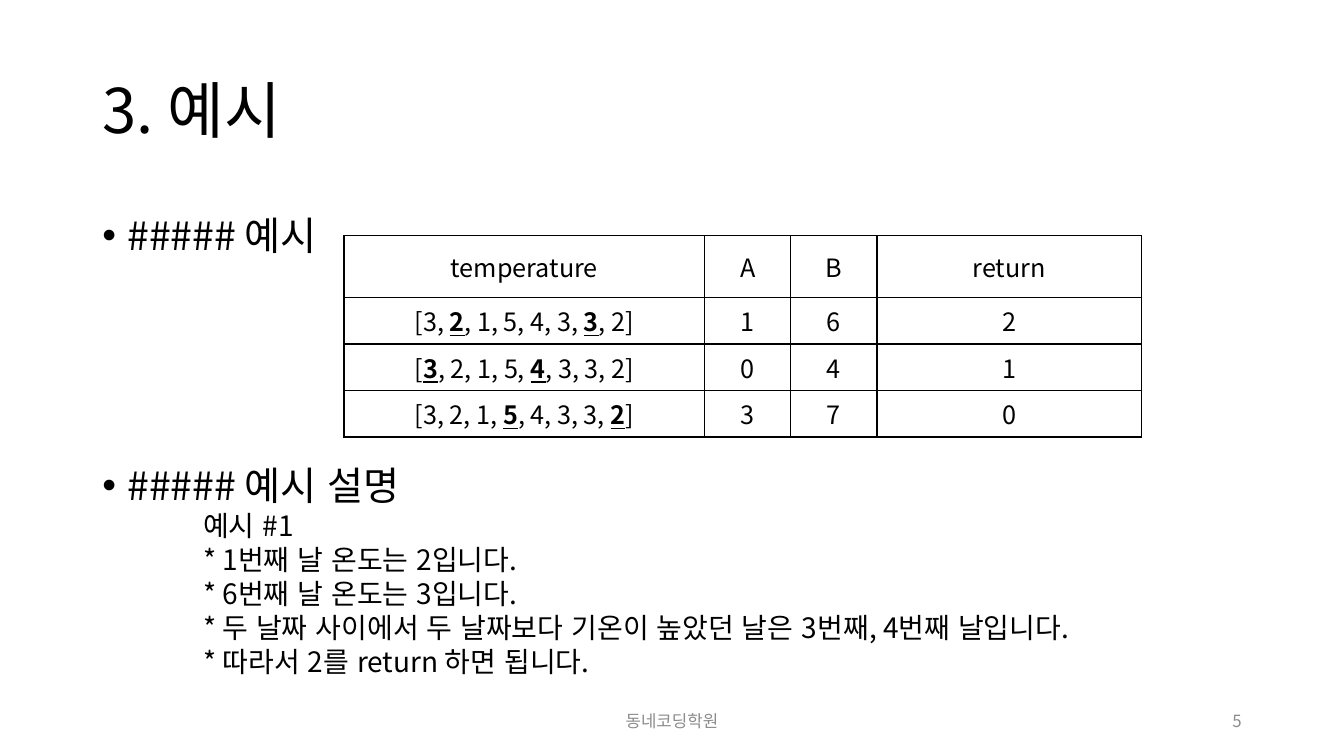
"""Builds the slide with an example table and its explanation."""
from dataclasses import dataclass

from lxml import etree
from pptx import Presentation
from pptx.dml.color import RGBColor
from pptx.enum.lang import MSO_LANGUAGE_ID
from pptx.enum.text import MSO_ANCHOR, MSO_AUTO_SIZE, PP_ALIGN
from pptx.oxml.ns import qn
from pptx.util import Inches, Pt

LEFT, CENTER, RIGHT = PP_ALIGN.LEFT, PP_ALIGN.CENTER, PP_ALIGN.RIGHT
TOP, MIDDLE = MSO_ANCHOR.TOP, MSO_ANCHOR.MIDDLE
NO_AUTOFIT = MSO_AUTO_SIZE.NONE
KOREAN = MSO_LANGUAGE_ID.KOREAN
FONT = "Noto Sans CJK KR"
BLACK, GRAY, WHITE = "000000", "8C8C8C", "FFFFFF"
SLIDE_WIDTH, SLIDE_HEIGHT = Inches(13.33), Inches(7.5)
GRID_COLUMNS, GRID_ROWS = 160, 90


@dataclass(frozen=True)
class Box:
    """A place on the grid, in columns and rows."""
    column: float
    row: float
    columns: float
    rows: float


@dataclass(frozen=True)
class Line:
    """One paragraph; every second run is emphasised."""
    runs: tuple
    size: float
    color: str = BLACK
    align: PP_ALIGN = LEFT
    spacing: float = 1.0
    before: float = 0
    level: int = 0
    margin: float = 0
    hanging: float = 0
    bullet: str = ""


TITLE_BOX = Box(11, 4.8, 138, 17.4)
BODY_BOX = Box(11, 24, 138, 61.2)
TABLE_BOX = Box(40.95, 28.05, 94.95, 24)
FOOTER_BOX = Box(53, 83.4, 54, 4.8)
NUMBER_BOX = Box(113, 83.4, 36, 4.8)
TABLE_COLUMNS = (42.95, 10.25, 10.25, 31.5)
TABLE_ROWS = (7.35, 5.55, 5.55, 5.55)
TABLE_CELLS = (
    (("temperature",), ("A",), ("B",), ("return",)),
    (("[3, ", "2", ", 1, 5, 4, 3, ", "3", ", 2]"), ("1",), ("6",), ("2",)),
    (("[", "3", ", 2, 1, 5, ", "4", ", 3, 3, 2]"), ("0",), ("4",), ("1",)),
    (("[3, 2, 1, ", "5", ", 4, 3, 3, ", "2", "]"), ("3",), ("7",), ("0",)),
)
EXPLANATION = (
    "예시 #1",
    "* 1번째 날 온도는 2입니다.",
    "* 6번째 날 온도는 3입니다.",
    "* 두 날짜 사이에서 두 날짜보다 기온이 높았던 날은 3번째, 4번째 날입니다.",
    "* 따라서 2를 return 하면 됩니다.",
)


def across(columns: float) -> int:
    """Return the length of some grid columns."""
    return round(SLIDE_WIDTH * columns / GRID_COLUMNS)


def down(rows: float) -> int:
    """Return the length of some grid rows."""
    return round(SLIDE_HEIGHT * rows / GRID_ROWS)


def place(box: Box) -> tuple:
    """Return left, top, width and height of a box."""
    return across(box.column), down(box.row), across(box.columns), down(box.rows)


def rgb(color: str) -> RGBColor:
    """Turn a hex string into a colour."""
    return RGBColor.from_string(color)


def write_line(paragraph, line: Line) -> None:
    """Fill a paragraph run by run and format it."""
    properties = paragraph._p.get_or_add_pPr()
    properties.set("marL", str(Inches(line.margin)))
    properties.set("indent", str(-Inches(line.hanging)))
    if line.bullet:
        font = etree.SubElement(properties, qn("a:buFont"))
        font.set("typeface", "Arial")
        etree.SubElement(properties, qn("a:buChar")).set("char", line.bullet)
    else:
        etree.SubElement(properties, qn("a:buNone"))
    paragraph.level = line.level
    paragraph.alignment = line.align
    paragraph.line_spacing = line.spacing
    paragraph.space_before = Pt(line.before)
    for index, text in enumerate(line.runs):
        run = paragraph.add_run()
        run.text = text
        run.font.size = Pt(line.size)
        run.font.name = FONT
        run.font.language_id = KOREAN
        run.font.color.rgb = rgb(line.color)
        run.font.bold = run.font.underline = index % 2 == 1
        run_properties = run._r.get_or_add_rPr()
        run_properties.set("kern", "0")
        east_asian = etree.SubElement(run_properties, qn("a:ea"))
        east_asian.set("typeface", FONT)


def write_text(shape, lines: tuple, anchor: MSO_ANCHOR) -> None:
    """Write all lines into a shape."""
    frame = shape.text_frame
    frame.word_wrap = True
    frame.auto_size = NO_AUTOFIT
    frame.vertical_anchor = anchor
    for index, line in enumerate(lines):
        paragraph = frame.add_paragraph() if index else frame.paragraphs[0]
        write_line(paragraph, line)


def add_text(slide, box: Box, lines: tuple, anchor: MSO_ANCHOR) -> None:
    """Add a text box."""
    write_text(slide.shapes.add_textbox(*place(box)), lines, anchor)


def set_borders(cell) -> None:
    """Draw a thin black line on each side of a cell."""
    properties = cell._tc.get_or_add_tcPr()
    for index, side in enumerate(("a:lnL", "a:lnR", "a:lnT", "a:lnB")):
        border = etree.Element(qn(side), w=str(Pt(1)))
        fill = etree.SubElement(border, qn("a:solidFill"))
        etree.SubElement(fill, qn("a:srgbClr"), val=BLACK)
        properties.insert(index, border)


def add_example_table(slide) -> None:
    """Add the table of examples."""
    frame = slide.shapes.add_table(len(TABLE_ROWS), len(TABLE_COLUMNS), *place(TABLE_BOX))
    table = frame.table
    table.first_row = table.horz_banding = False
    for column, columns in zip(table.columns, TABLE_COLUMNS):
        column.width = across(columns)
    for row, rows, contents in zip(table.rows, TABLE_ROWS, TABLE_CELLS):
        row.height = down(rows)
        for cell, runs in zip(row.cells, contents):
            cell.fill.solid()
            cell.fill.fore_color.rgb = rgb(WHITE)
            cell.vertical_anchor = MIDDLE
            write_line(cell.text_frame.paragraphs[0], Line(runs, 18, align=CENTER))
            set_borders(cell)


def heading(text: str, spacing: float, before: float) -> Line:
    """Return a bulleted heading."""
    return Line((text,), 28, spacing=spacing, before=before,
                margin=0.25, hanging=0.25, bullet="•")


def main() -> None:
    """Build and save the presentation."""
    presentation = Presentation()
    presentation.slide_width, presentation.slide_height = SLIDE_WIDTH, SLIDE_HEIGHT
    slide = presentation.slides.add_slide(presentation.slide_layouts[5])
    title = slide.shapes.title
    title.left, title.top, title.width, title.height = place(TITLE_BOX)
    write_text(title, (Line(("3. 예시",), 44, spacing=0.9),), MIDDLE)
    details = tuple(Line((text,), 20, spacing=0.8, before=5, level=2, margin=1)
                    for text in EXPLANATION)
    headings = heading("##### 예시", 1.1, 0), heading("##### 예시 설명", 0.8, 151.5)
    add_text(slide, BODY_BOX, headings + details, TOP)
    add_example_table(slide)
    add_text(slide, FOOTER_BOX, (Line(("동네코딩학원",), 12, GRAY, CENTER),), MIDDLE)
    add_text(slide, NUMBER_BOX, (Line(("5",), 12, GRAY, RIGHT),), MIDDLE)
    presentation.save("out.pptx")


if __name__ == "__main__":
    main()
